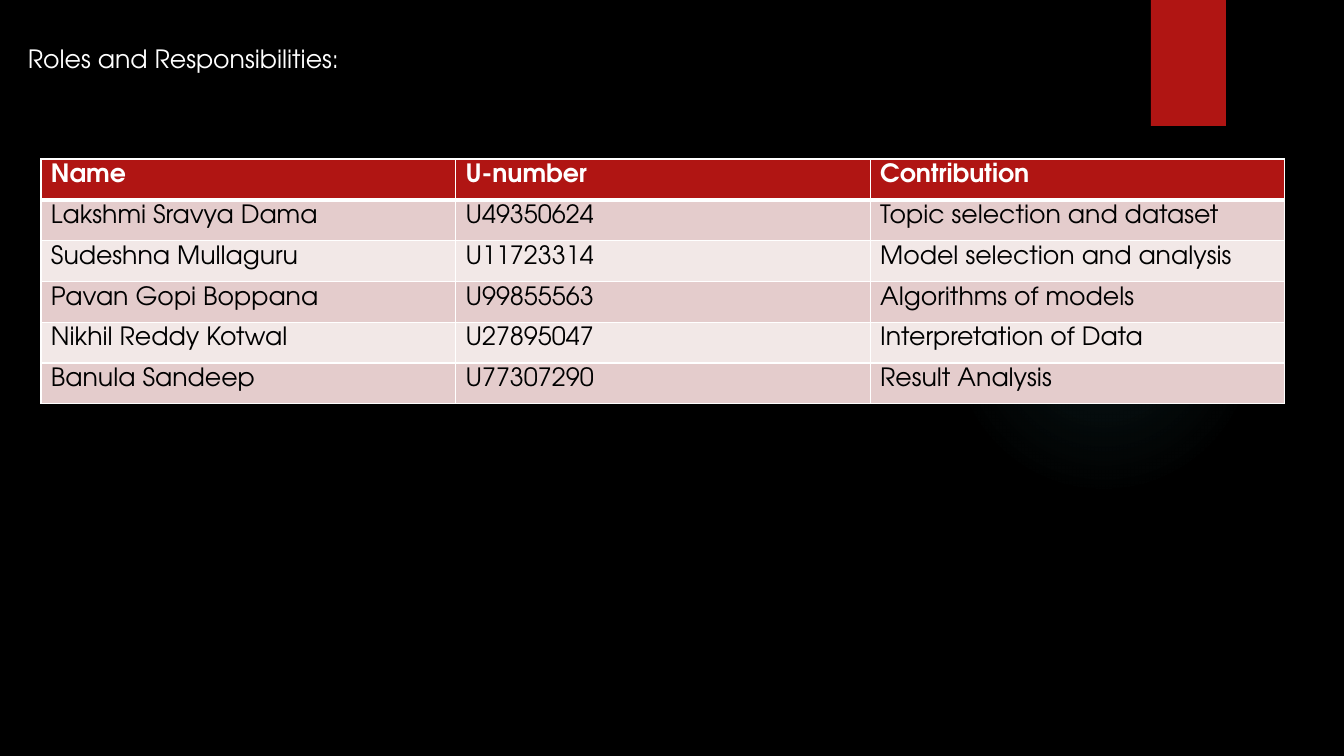
"""Builds the roles and responsibilities slide."""
import pptx
import pptx.dml.color
import pptx.enum.shapes
import pptx.oxml
import pptx.oxml.ns
import pptx.util

SCALE = 914400 / 100.8
FONT = "TeX Gyre Adventor"
COLORS = {
    "black": "000000",
    "white": "FFFFFF",
    "red": "B01513",
    "dark_band": "E4CCCC",
    "light_band": "F2E8E7",
    "glow": "50B9C1",
}
NAMESPACE = pptx.oxml.ns.nsdecls("a")
ROWS = [
    ("Name", "U-number", "Contribution"),
    ("Lakshmi Sravya Dama", "U49350624", "Topic selection and dataset"),
    ("Sudeshna Mullaguru", "U11723314", "Model selection and analysis"),
    ("Pavan Gopi Boppana", "U99855563", "Algorithms of models"),
    ("Nikhil Reddy Kotwal", "U27895047", "Interpretation of Data"),
    ("Banula Sandeep", "U77307290", "Result Analysis"),
]


def px(length):
    return pptx.util.Emu(round(length * SCALE))


def write(frame, text, color="black", size=18, bold=False):
    span = frame.paragraphs[0].add_run()
    span.text = text
    span.font.name = FONT
    span.font.size = pptx.util.Pt(size)
    span.font.bold = bold
    span.font.color.rgb = pptx.dml.color.RGBColor.from_string(COLORS[color])


deck = pptx.Presentation()
deck.slide_width = px(1344)
deck.slide_height = px(756)
slide = deck.slides.add_slide(deck.slide_layouts[6])
slide.background.fill.solid()
slide.background.fill.fore_color.rgb = pptx.dml.color.RGBColor.from_string(COLORS["black"])

shape_kinds = pptx.enum.shapes.MSO_SHAPE
glow = slide.shapes.add_shape(shape_kinds.OVAL, px(949), px(185), px(310), px(310))
glow.shadow.inherit = False
glow.line.fill.background()
stops = "".join(
    f'<a:gs pos="{position * 1000}"><a:srgbClr val="{COLORS["glow"]}">'
    f'<a:alpha val="{alpha * 1000}"/></a:srgbClr></a:gs>'
    for position, alpha in [(0, 7), (36, 6), (69, 0)]
)
gradient = pptx.oxml.parse_xml(
    f'<a:gradFill {NAMESPACE}><a:gsLst>{stops}</a:gsLst><a:path path="circle">'
    '<a:fillToRect l="50000" t="50000" r="50000" b="50000"/></a:path></a:gradFill>'
)
glow.element.spPr.find(pptx.oxml.ns.qn("a:prstGeom")).addnext(gradient)

ribbon = slide.shapes.add_shape(shape_kinds.RECTANGLE, px(1151), 0, px(75), px(126))
ribbon.shadow.inherit = False
ribbon.line.fill.background()
ribbon.fill.solid()
ribbon.fill.fore_color.rgb = pptx.dml.color.RGBColor.from_string(COLORS["red"])

title = slide.shapes.add_textbox(px(18), px(38), px(1298), px(102))
title.text_frame.word_wrap = True
write(title.text_frame, "Roles and Responsibilities:", color="white")

table = slide.shapes.add_table(len(ROWS), 3, px(41), px(159), px(1244), px(245)).table
for row_index, texts in enumerate(ROWS):
    table.rows[row_index].height = px(245 / len(ROWS))
    header = row_index == 0
    band = "red" if header else "dark_band" if row_index % 2 else "light_band"
    widths = {"L": 1, "R": 1, "T": 3 if row_index == 1 else 1, "B": 3 if header else 1}
    for column_index, text in enumerate(texts):
        cell = table.cell(row_index, column_index)
        cell.margin_left = cell.margin_right = px(10)
        cell.margin_top = px(5)
        cell.margin_bottom = 0
        write(cell.text_frame, text, color="white" if header else "black", bold=header)
        properties = cell._tc.get_or_add_tcPr()
        for side, width in widths.items():
            properties.append(pptx.oxml.parse_xml(
                f'<a:ln{side} {NAMESPACE} w="{pptx.util.Pt(width)}"><a:solidFill>'
                f'<a:srgbClr val="{COLORS["white"]}"/></a:solidFill></a:ln{side}>'
            ))
        cell.fill.solid()
        cell.fill.fore_color.rgb = pptx.dml.color.RGBColor.from_string(COLORS[band])

deck.save("out.pptx")
